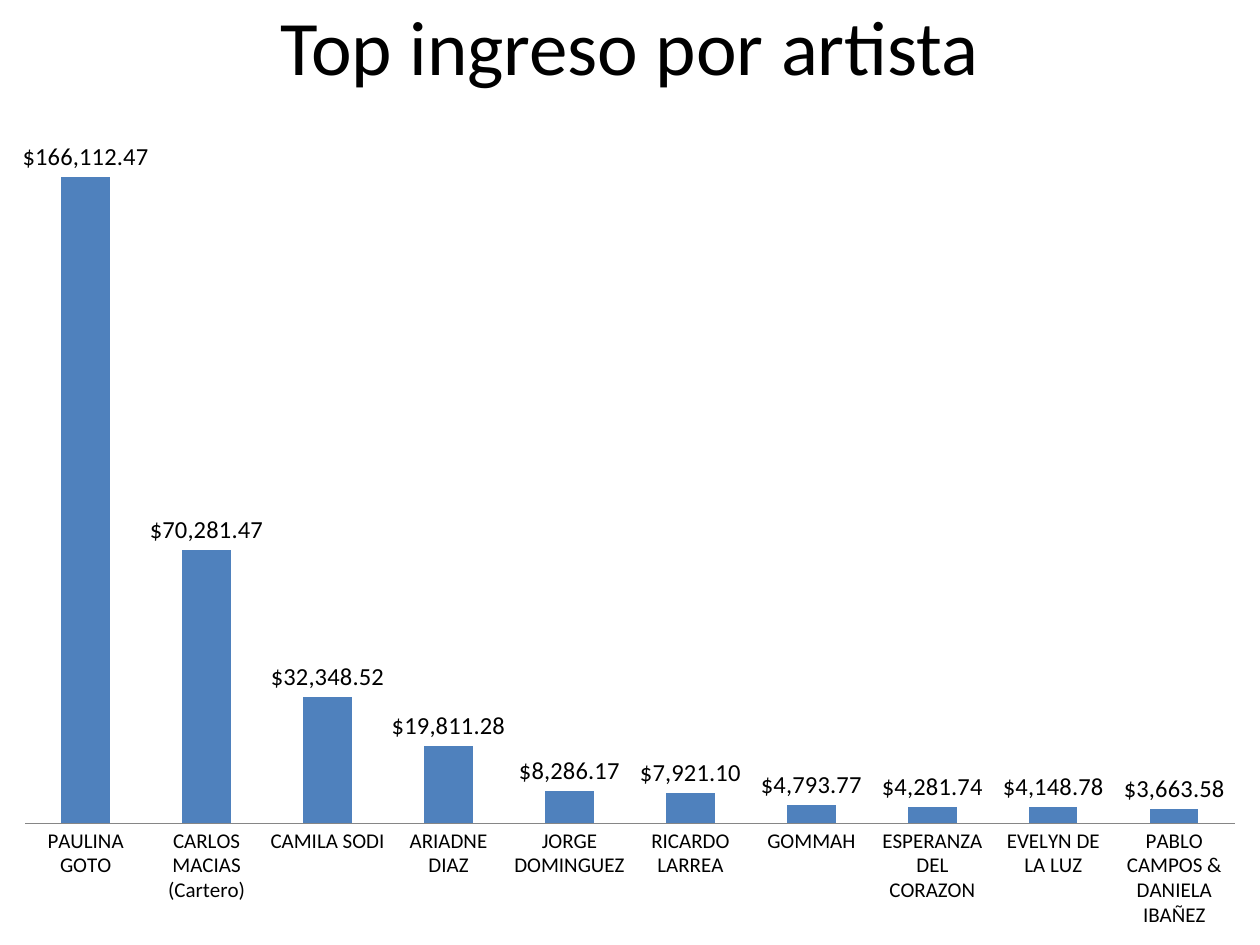
import pptx
import pptx.chart.data
import pptx.dml.color
import pptx.enum.chart
import pptx.enum.text
import pptx.util

SCALE = 914400 / 126
MONEY = '"$"#,##0.00'
INCOME = {
    "PAULINA GOTO": 166112.47,
    "CARLOS MACIAS (Cartero)": 70281.47,
    "CAMILA SODI": 32348.52,
    "ARIADNE DIAZ": 19811.28,
    "JORGE DOMINGUEZ": 8286.17,
    "RICARDO LARREA": 7921.10,
    "GOMMAH": 4793.77,
    "ESPERANZA DEL CORAZON": 4281.74,
    "EVELYN DE LA LUZ": 4148.78,
    "PABLO CAMPOS & DANIELA IBAÑEZ": 3663.58,
}


def px(num):
    return pptx.util.Emu(round(num * SCALE))


def color(code):
    return pptx.dml.color.RGBColor.from_string(code)


def assign(item, **vals):
    for name, val in vals.items():
        setattr(item, name, val)


class Deck:
    """Holds the style and the current slide."""

    face, ink, bar, rule = "Calibri", "000000", "4F81BD", "868686"

    def __init__(self, wide, high):
        self.file = pptx.Presentation()
        assign(self.file, slide_width=px(wide), slide_height=px(high))
        self.slide = self.file.slides.add_slide(self.file.slide_layouts[5])

    def font(self, font, size):
        assign(font, name=self.face, size=pptx.util.Pt(size), bold=False)
        font.color.rgb = color(self.ink)

    def title(self, text, left, top, wide, high):
        shape = self.slide.shapes.title
        assign(shape, left=px(left), top=px(top), width=px(wide), height=px(high))
        frame = shape.text_frame
        assign(frame, text=text, word_wrap=True,
               vertical_anchor=pptx.enum.text.MSO_ANCHOR.MIDDLE)
        para = frame.paragraphs[0]
        para.alignment = pptx.enum.text.PP_ALIGN.CENTER
        self.font(para.runs[0].font, 44)

    def chart(self, name, data, left, top, wide, high):
        kinds = pptx.enum.chart
        table = pptx.chart.data.CategoryChartData(number_format=MONEY)
        table.categories = list(data)
        table.add_series(name, list(data.values()))
        chart = self.slide.shapes.add_chart(
            kinds.XL_CHART_TYPE.COLUMN_CLUSTERED,
            px(left), px(top), px(wide), px(high), table).chart
        assign(chart, has_legend=False, has_title=False)
        self.font(chart.font, 10)
        assign(chart.value_axis, visible=False, has_major_gridlines=False,
               minimum_scale=0, maximum_scale=180000)
        axis = chart.category_axis
        assign(axis, major_tick_mark=kinds.XL_TICK_MARK.NONE,
               minor_tick_mark=kinds.XL_TICK_MARK.NONE)
        axis.format.line.color.rgb = color(self.rule)
        self.font(axis.tick_labels.font, 12)
        plot = chart.plots[0]
        assign(plot, gap_width=150, overlap=-25, vary_by_categories=False,
               has_data_labels=True)
        assign(plot.data_labels, show_value=True, number_format=MONEY,
               number_format_is_linked=False,
               position=kinds.XL_LABEL_POSITION.OUTSIDE_END)
        self.font(plot.data_labels.font, 14)
        fill = plot.series[0].format.fill
        fill.solid()
        fill.fore_color.rgb = color(self.bar)


def main():
    deck = Deck(1260, 945)
    deck.title("Top ingreso por artista", 63, -34, 1134, 158)
    deck.chart("Series 1", INCOME, 0, 106, 1260, 839)
    deck.file.save("out.pptx")


if __name__ == "__main__":
    main()
